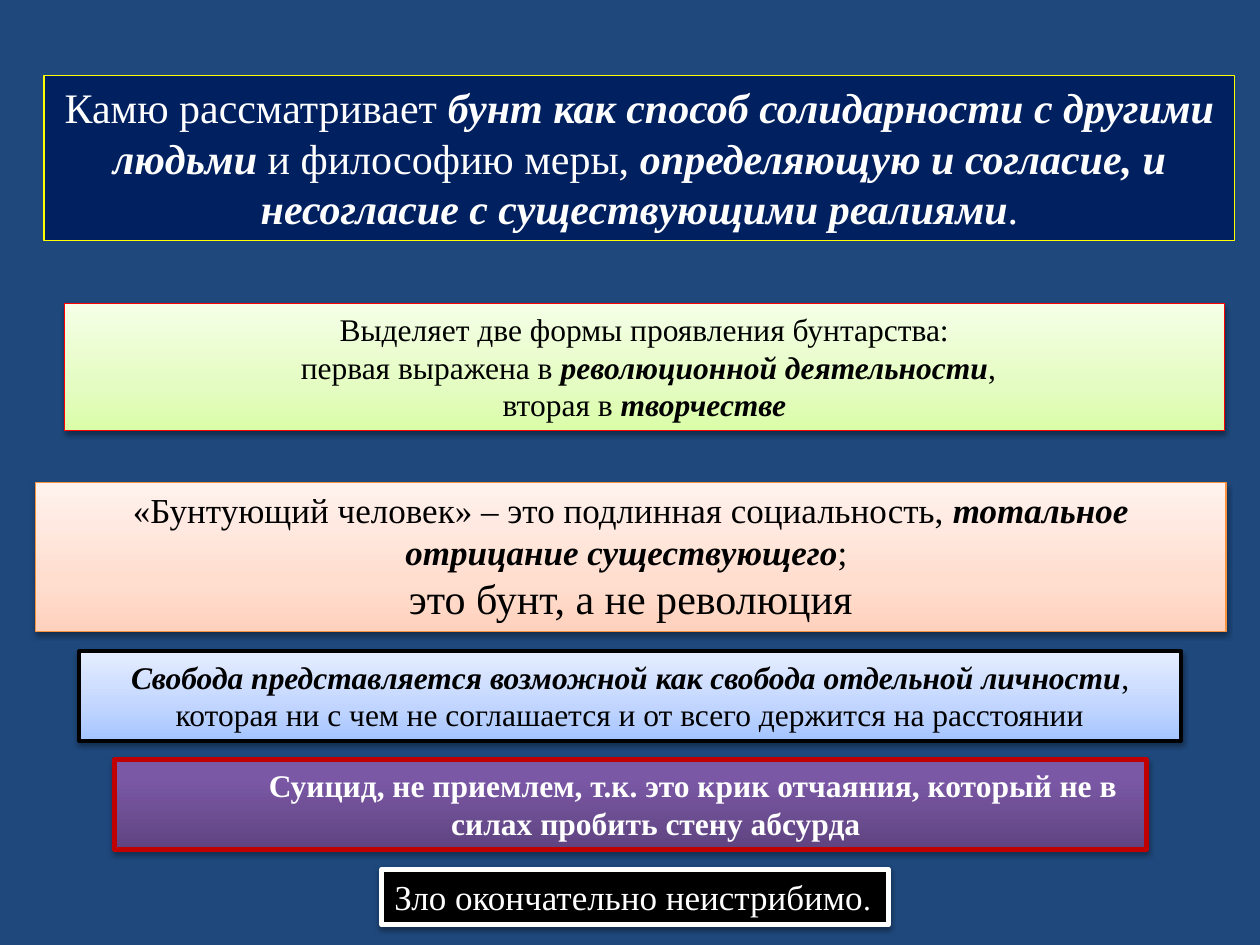
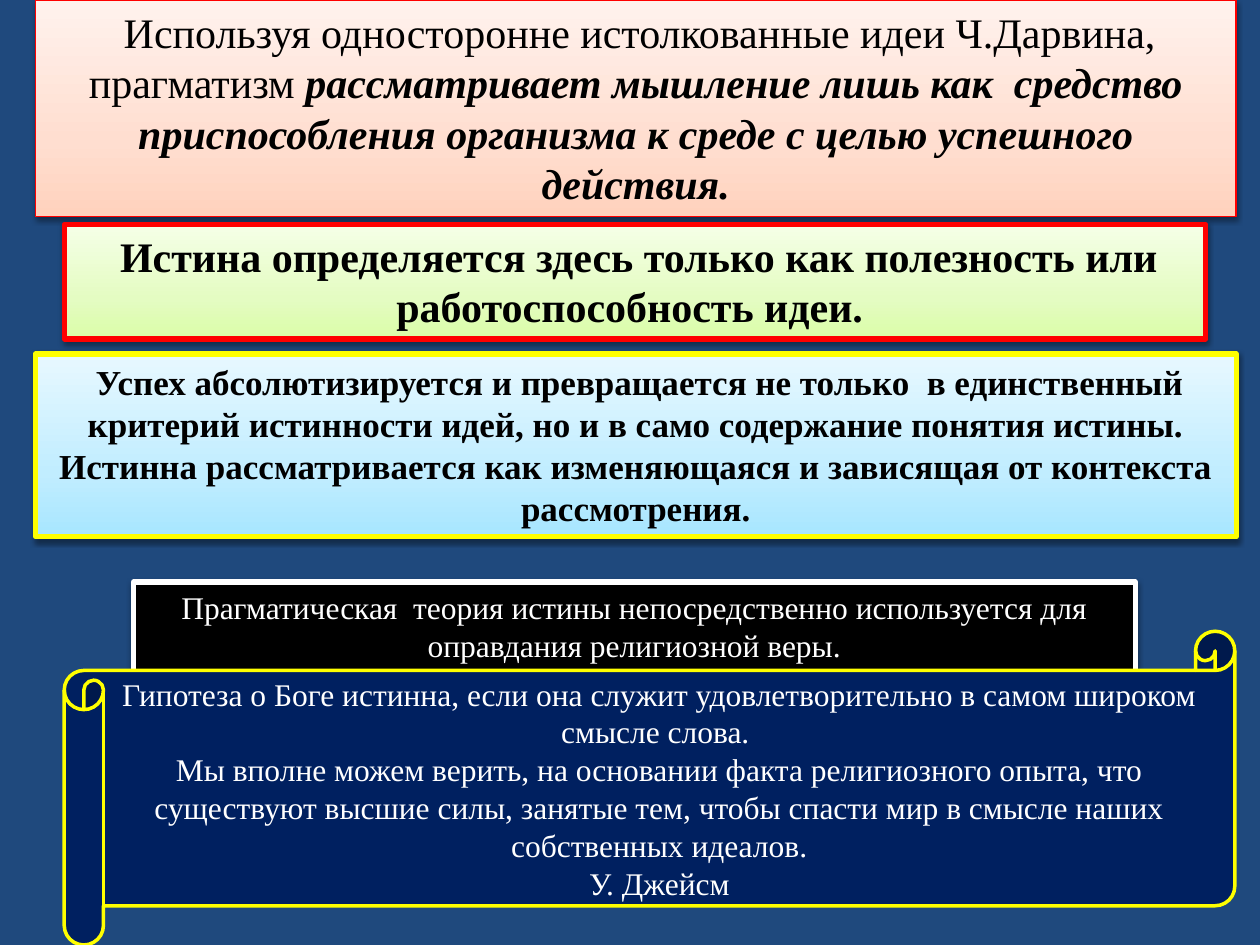
from lxml import etree
from pptx import Presentation
from pptx.dml.color import RGBColor
from pptx.enum.shapes import MSO_SHAPE
from pptx.enum.text import MSO_ANCHOR, MSO_AUTO_SIZE, PP_ALIGN
from pptx.oxml.ns import qn
from pptx.util import Pt

RECTANGLE = MSO_SHAPE.RECTANGLE
SCROLL = MSO_SHAPE.HORIZONTAL_SCROLL
TOP, MIDDLE = MSO_ANCHOR.TOP, MSO_ANCHOR.MIDDLE
CENTER, LEFT = PP_ALIGN.CENTER, PP_ALIGN.LEFT
GROW, FIXED = MSO_AUTO_SIZE.SHAPE_TO_FIT_TEXT, MSO_AUTO_SIZE.NONE

FONT = "Times New Roman"
COLORS = {
    "background": "1F497D", "navy": "002060", "black": "000000", "white": "FFFFFF",
    "yellow": "FFFF00", "red": "FF0000", "dark red": "C00000", "orange": "F69240",
}
# Gradient stops run from the bottom edge to the top edge
GRADIENTS = {
    "green": [(0, "DAFDA7"), (35, "E4FCC2"), (100, "F5FFE7")],
    "peach": [(0, "FFD2BD"), (35, "FFDED0"), (100, "FFF2ED")],
    "blue": [(0, "A4C4FF"), (35, "BFD4FF"), (100, "E6EEFF")],
    "sky": [(0, "A7E6FF"), (35, "C1EDFF"), (100, "E7F8FF")],
    "purple": [(0, "5F4480"), (80, "7B58A6"), (100, "7C57A8")],
}
EMPHASIS = {"bold": True, "italic": True}
PAGE = (0, 0, 720, 540)


def rgb(name):
    return RGBColor.from_string(COLORS[name])


def add_color(parent, hex_color):
    return etree.SubElement(parent, qn("a:srgbClr"), val=hex_color)


def fill_panel(shape, fill):
    """Fill with a named gradient or a plain colour."""
    if fill not in GRADIENTS:
        shape.fill.solid()
        shape.fill.fore_color.rgb = rgb(fill)
        return
    shape.fill.gradient()
    shape.fill.gradient_angle = 90
    stops = shape._element.spPr.find(".//" + qn("a:gsLst"))
    for stop in list(stops):
        stops.remove(stop)
    for position, hex_color in GRADIENTS[fill]:
        stop = etree.SubElement(stops, qn("a:gs"), pos=str(position * 1000))
        add_color(stop, hex_color)


def add_shadow(shape, opacity, distance):
    effects = shape._element.spPr.find(qn("a:effectLst"))
    outer = etree.SubElement(
        effects, qn("a:outerShdw"), blurRad=str(Pt(3.15)), dist=str(Pt(distance)),
        dir="5400000", rotWithShape="0")
    color = add_color(outer, COLORS["black"])
    etree.SubElement(color, qn("a:alpha"), val=str(opacity * 1000))


def write_text(shape, paragraphs, size=18, color="black", bold=False, italic=False,
               align=CENTER, anchor=TOP, auto_size=GROW, wrap=True, margin=0, indent=0):
    """Each paragraph is a list of runs; a run is text or (text, changed format)."""
    frame = shape.text_frame
    frame.word_wrap = wrap
    frame.auto_size = auto_size
    frame.vertical_anchor = anchor
    for index, runs in enumerate(paragraphs):
        paragraph = frame.add_paragraph() if index else frame.paragraphs[0]
        paragraph.alignment = align
        if margin or indent:
            properties = paragraph._p.get_or_add_pPr()
            properties.set("marL", str(Pt(margin)))
            properties.set("indent", str(Pt(indent)))
        for item in runs:
            text, changes = (item, {}) if isinstance(item, str) else item
            run = paragraph.add_run()
            run.text = text
            run.font.name = FONT
            run.font.size = Pt(changes.get("size", size))
            run.font.bold = changes.get("bold", bold)
            run.font.italic = changes.get("italic", italic)
            run.font.color.rgb = rgb(color)


def add_panel(slide, page, box, fill, line, line_width, paragraphs,
              kind=RECTANGLE, shadow=(38, 1.57), **text_format):
    left, top, width, height = box
    shape = slide.shapes.add_shape(
        kind, Pt(page[0] + left), Pt(page[1] + top), Pt(width), Pt(height))
    shape.shadow.inherit = False
    fill_panel(shape, fill)
    shape.line.color.rgb = rgb(line)
    shape.line.width = Pt(line_width)
    if shadow:
        add_shadow(shape, *shadow)
    write_text(shape, paragraphs, **text_format)


def add_slide(presentation):
    slide = presentation.slides.add_slide(presentation.slide_layouts[6])
    slide.background.fill.solid()
    slide.background.fill.fore_color.rgb = rgb("background")
    return slide


def build_rebellion(slide, page):
    # Main thesis
    add_panel(slide, page, (25.2, 43.2, 680.4, 94.3), "navy", "yellow", 0.75, [[
        "Камю рассматривает ",
        ("бунт как способ солидарности с другими людьми ", EMPHASIS),
        "и философию меры, ",
        ("определяющую и согласие, и несогласие с существующими реалиями", EMPHASIS),
        ".",
    ]], shadow=None, size=24, color="white")
    # Two forms of rebellion
    add_panel(slide, page, (36.7, 173.5, 663.1, 72.7), "green", "red", 0.75, [
        ["Выделяет две формы проявления бунтарства:"],
        [" первая выражена в ", ("революционной деятельности", EMPHASIS), ","],
        [" вторая в ", ("творчестве ", EMPHASIS)],
    ])
    # The rebel
    add_panel(slide, page, (20.2, 275.8, 680.4, 85), "peach", "orange", 0.75, [
        ["«Бунтующий человек» – это подлинная социальность, ",
         ("тотальное отрицание существующего", EMPHASIS), "; "],
        [("это бунт, а не революция", {"size": 24})],
    ], size=20)
    # Freedom
    add_panel(slide, page, (45.4, 372.2, 629.3, 51.1), "blue", "black", 2.25, [[
        ("Свобода представляется возможной как свобода отдельной личности", EMPHASIS),
        ", которая ни с чем не соглашается и от всего держится на расстоянии",
    ]])
    # Evil
    add_panel(slide, page, (218.2, 496.8, 289.4, 31.7), "black", "white", 3, [
        ["Зло окончательно неистрибимо", (".", {"size": 18})],
    ], size=20, color="white", align=LEFT, wrap=False)
    # Despair
    add_panel(slide, page, (65.5, 434.2, 589.7, 51.1), "purple", "dark red", 3, [
        ["Суицид, не приемлем, т.к. это крик отчаяния, который не в силах "
         "пробить стену абсурда"],
    ], shadow=(35, 1.81), color="white", bold=True, margin=28.8, indent=42.5)


def build_pragmatism(slide, page):
    # Thinking as adaptation
    add_panel(slide, page, (20.2, 0, 686.2, 123.8), "peach", "red", 0.75, [[
        (" ", {"size": 18}),
        "Используя односторонне истолкованные идеи Ч.Дарвина, прагматизм ",
        ("рассматривает мышление лишь как  средство приспособления организма "
         "к среде с целью успешного действия.", EMPHASIS),
    ]], size=24)
    # Truth as usefulness
    add_panel(slide, page, (36.7, 128.2, 652.3, 65.5), "green", "red", 3, [[
        (" ", {"size": 18}),
        "Истина определяется здесь только как полезность или "
        "работоспособность идеи. ",
    ]], size=24, bold=True)
    # Success as criterion
    add_panel(slide, page, (20.2, 202.3, 686.2, 104.4), "sky", "yellow", 3, [[
        (" ", {"size": 18}),
        "Успех абсолютизируется и превращается не только  в единственный критерий "
        "истинности идей, но и в само содержание понятия истины. Истинна "
        "рассматривается как изменяющаяся и зависящая от контекста рассмотрения.",
    ]], size=20, bold=True)
    # Religious faith
    add_panel(slide, page, (76.3, 332.6, 572.4, 51.1), "black", "white", 3, [
        ["Прагматическая  теория истины непосредственно используется для "
         "оправдания религиозной веры."],
    ], color="white")
    # Quotation scroll
    add_panel(slide, page, (36.7, 360.7, 668.9, 179.3), "navy", "yellow", 2, [
        ["Гипотеза о Боге истинна, если она служит удовлетворительно в самом "
         "широком смысле слова. "],
        ["Мы вполне можем верить, на основании факта религиозного опыта, что "
         "существуют высшие силы, занятые тем, чтобы спасти мир в смысле наших "
         "собственных идеалов."],
        ["У. Джейсм"],
    ], kind=SCROLL, shadow=None, color="white", anchor=MIDDLE, auto_size=FIXED)


def main():
    presentation = Presentation()
    presentation.slide_width, presentation.slide_height = Pt(PAGE[2]), Pt(PAGE[3])
    for build in (build_rebellion, build_pragmatism):
        build(add_slide(presentation), PAGE)
    presentation.save("out.pptx")


if __name__ == "__main__":
    main()
